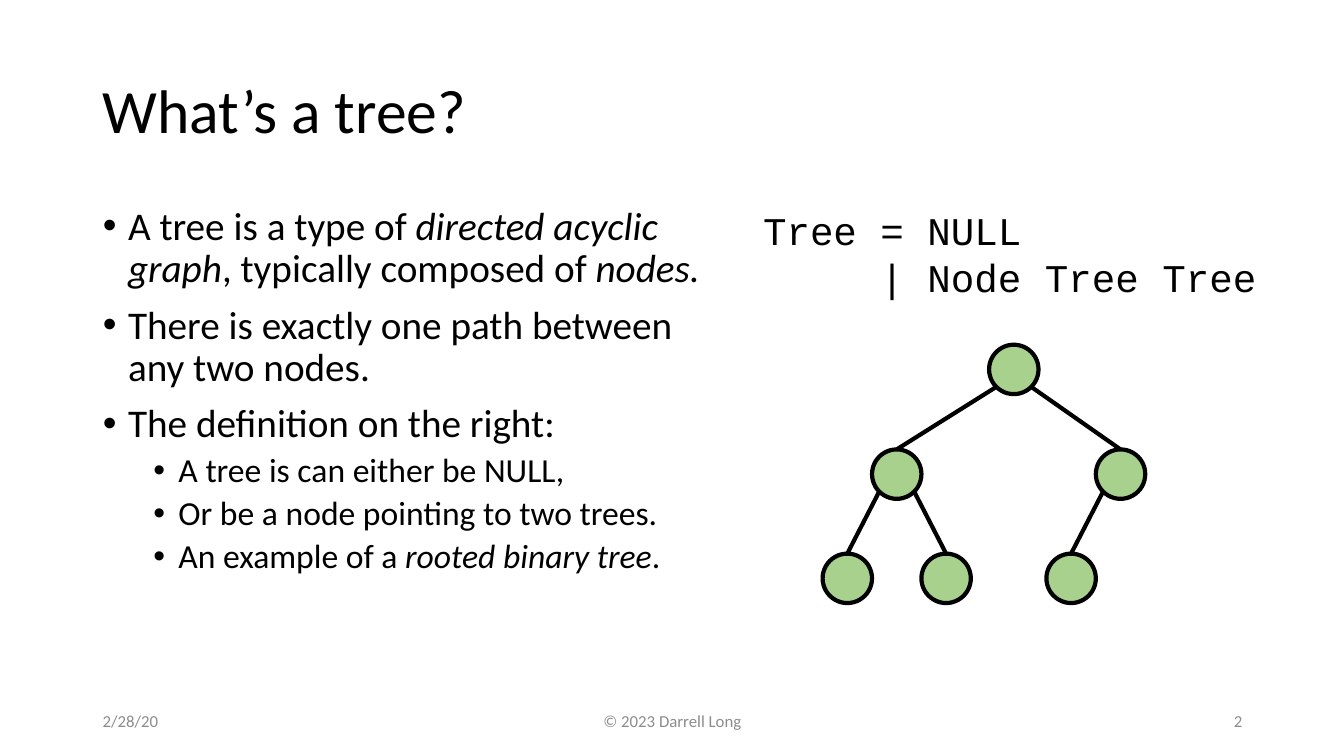
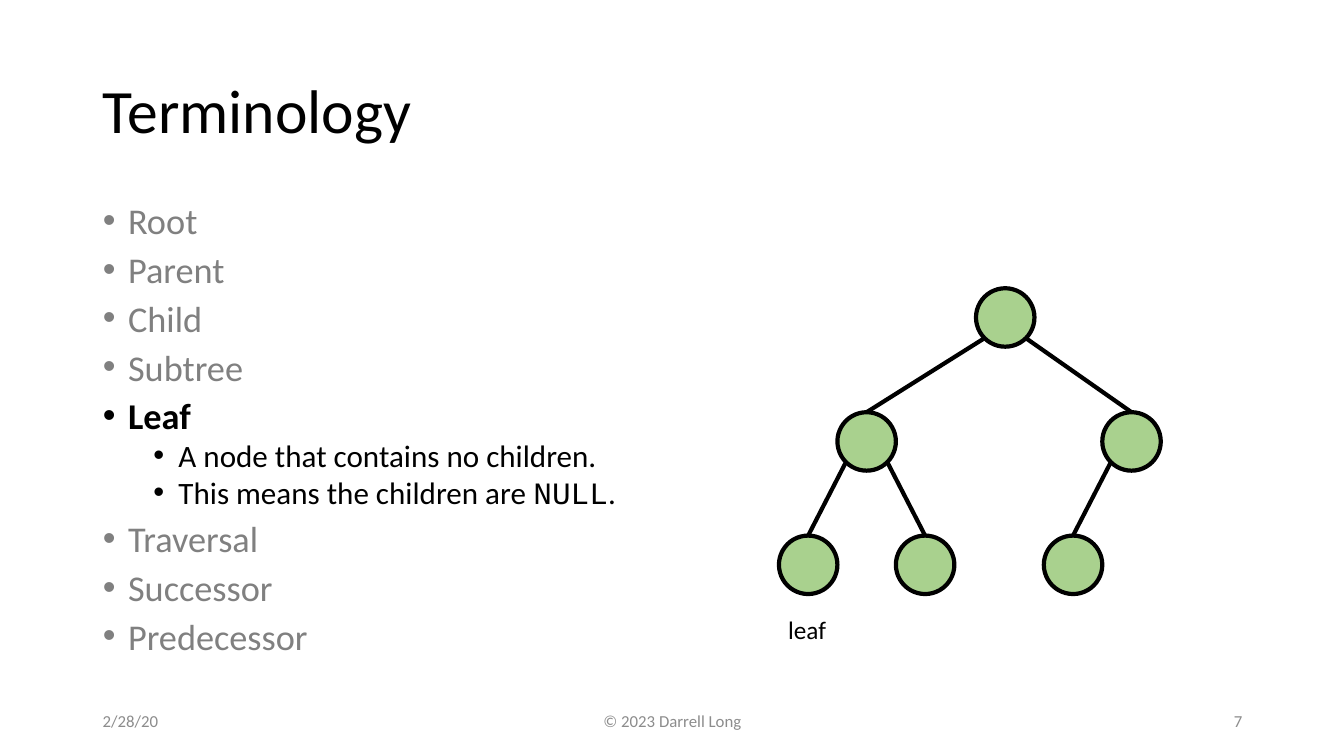
"""Build two lecture slides about binary trees."""
from dataclasses import dataclass
from math import sqrt

from lxml import etree
from pptx import Presentation
from pptx.dml.color import RGBColor
from pptx.enum.shapes import MSO_CONNECTOR, MSO_SHAPE
from pptx.enum.text import MSO_ANCHOR, MSO_AUTO_SIZE, PP_ALIGN
from pptx.oxml.ns import qn
from pptx.presentation import Presentation as Deck
from pptx.shapes.base import BaseShape
from pptx.slide import Slide, SlideLayout
from pptx.text.text import Font
from pptx.util import Emu, Pt

LEFT, CENTER, RIGHT = PP_ALIGN.LEFT, PP_ALIGN.CENTER, PP_ALIGN.RIGHT
TOP, MIDDLE = MSO_ANCHOR.TOP, MSO_ANCHOR.MIDDLE
NO_FIT = MSO_AUTO_SIZE.NONE
ELLIPSE, STRAIGHT = MSO_SHAPE.OVAL, MSO_CONNECTOR.STRAIGHT

EMU_PER_PX = 9144
COLORS = {"ink": "000000", "muted": "808080", "footer": "8C8C8C", "node": "A9D18E"}
SANS, MONO = "Calibri", "Courier New"


@dataclass(frozen=True)
class Area:
    """A rectangle in px."""
    left: int
    top: int
    width: int
    height: int


@dataclass(frozen=True)
class Span:
    """A stretch of text in one style."""
    text: str
    italic: bool = False
    mono: bool = False


@dataclass(frozen=True)
class Bullet:
    """A list entry."""
    spans: tuple[Span, ...]
    level: int = 0
    color: str = "ink"
    bold: bool = False


@dataclass(frozen=True)
class ListStyle:
    """Width, text sizes by level and line spacing of a list."""
    width: int
    sizes: tuple[float, float]
    line_spacing: float


@dataclass(frozen=True)
class TextStyle:
    """The look of a text box."""
    size: int
    font: str = SANS
    color: str = "ink"
    align: PP_ALIGN = LEFT
    anchor: MSO_ANCHOR = TOP


@dataclass(frozen=True)
class TreeNode:
    """A node placed relative to the root, in node diameters."""
    across: float
    down: float
    parent: int | None = None


TITLE_AREA = Area(92, 40, 1150, 145)
FOOTERS = (
    (Area(92, 695, 300, 40), LEFT),
    (Area(442, 695, 450, 40), CENTER),
    (Area(942, 695, 300, 40), RIGHT),
)
INDENTS = (25, 75)
SPACES_BEFORE = (10, 5)
TREE = (
    TreeNode(0, 0),
    TreeNode(-2.37, 2.12, 0),
    TreeNode(2.16, 2.12, 0),
    TreeNode(-3.37, 4.23, 1),
    TreeNode(-1.37, 4.23, 1),
    TreeNode(1.16, 4.23, 2),
)
DEFINITION_BULLETS = (
    Bullet((Span("A tree is a type of "), Span("directed acyclic graph", italic=True),
            Span(", typically composed of "), Span("nodes.", italic=True))),
    Bullet((Span("There is exactly one path between any two nodes."),)),
    Bullet((Span("The definition on the right:"),)),
    Bullet((Span("A tree is can either be NULL,"),), 1),
    Bullet((Span("Or be a node pointing to two trees."),), 1),
    Bullet((Span("An example of a "), Span("rooted binary tree", italic=True), Span(".")), 1),
)
LEAF_BULLETS = (
    Bullet((Span("Leaf"),), bold=True),
    Bullet((Span("A node that contains no children."),), 1),
    Bullet((Span("This means the children are "), Span("NULL", mono=True), Span(".")), 1),
)


def px(length: float) -> Emu:
    """Turn px into EMU."""
    return Emu(round(length * EMU_PER_PX))


def rgb(name: str) -> RGBColor:
    """Look up a colour by name."""
    return RGBColor.from_string(COLORS[name])


def place(shape: BaseShape, area: Area) -> None:
    """Move and size a shape."""
    shape.left, shape.top = px(area.left), px(area.top)
    shape.width, shape.height = px(area.width), px(area.height)


def style_font(font: Font, name: str, size: float, color: str) -> None:
    """Set the face, size and colour of a font."""
    font.name, font.size = name, Pt(size)
    font.color.rgb = rgb(color)


def add_text(slide: Slide, area: Area, lines: tuple[str, ...], style: TextStyle) -> None:
    """Add a text box with one paragraph for each line."""
    box = slide.shapes.add_textbox(
        px(area.left), px(area.top), px(area.width), px(area.height))
    frame = box.text_frame
    frame.word_wrap = True
    frame.vertical_anchor = style.anchor
    frame.text = "\n".join(lines)
    for para in frame.paragraphs:
        para.alignment = style.align
        style_font(para.font, style.font, style.size, style.color)


def add_page(deck: Deck, layout: SlideLayout, title: str, number: int) -> Slide:
    """Add a slide with its title and footer."""
    page = deck.slides.add_slide(layout)
    heading = page.shapes.title
    place(heading, TITLE_AREA)
    frame = heading.text_frame
    frame.text = title
    frame.auto_size = NO_FIT
    frame.vertical_anchor = MIDDLE
    para = frame.paragraphs[0]
    para.alignment, para.line_spacing = LEFT, 0.9
    style_font(para.font, SANS, 44, "ink")
    for (area, align), text in zip(FOOTERS, ("2/28/20", "© 2023 Darrell Long", str(number))):
        add_text(page, area, (text,), TextStyle(12, SANS, "footer", align, MIDDLE))
    return page


def fill_list(page: Slide, bullets: tuple[Bullet, ...], style: ListStyle) -> None:
    """Write the bullets into the body placeholder."""
    body = page.placeholders[1]
    place(body, Area(92, 200, style.width, 476))
    frame = body.text_frame
    frame.auto_size = NO_FIT
    for index, bullet in enumerate(bullets):
        para = frame.add_paragraph() if index else frame.paragraphs[0]
        para.level, para.line_spacing = bullet.level, style.line_spacing
        para.space_before = Pt(SPACES_BEFORE[bullet.level] if index else 0)
        properties = para._p.get_or_add_pPr()
        properties.set("marL", str(px(INDENTS[bullet.level])))
        properties.set("indent", str(px(-25)))
        etree.SubElement(properties, qn("a:buFont"), typeface="Arial")
        etree.SubElement(properties, qn("a:buChar"), char="•")
        style_font(para.font, SANS, style.sizes[bullet.level], bullet.color)
        para.font.bold = bullet.bold
        for span in bullet.spans:
            run = para.add_run()
            run.text = span.text
            if span.italic:
                run.font.italic = True
            if span.mono:
                run.font.name = MONO


def add_tree(page: Slide, left: int, top: int, diameter: int) -> None:
    """Draw the tree with its root's corner at the given point."""
    group = page.shapes.add_group_shape()
    centers = [(left + (node.across + 0.5) * diameter, top + (node.down + 0.5) * diameter)
               for node in TREE]
    radius = diameter / 2
    for x, y in centers:
        circle = group.shapes.add_shape(
            ELLIPSE, px(x - radius), px(y - radius), px(diameter), px(diameter))
        circle.shadow.inherit = False
        circle.fill.solid()
        circle.fill.fore_color.rgb = rgb("node")
        circle.line.color.rgb = rgb("ink")
        circle.line.width = Pt(3)
    diagonal = radius / sqrt(2)
    for node, (x, y) in zip(TREE, centers):
        if node.parent is None:
            continue
        parent_x, parent_y = centers[node.parent]
        side = diagonal if x > parent_x else -diagonal
        edge = group.shapes.add_connector(
            STRAIGHT, px(parent_x + side), px(parent_y + diagonal), px(x), px(y - radius))
        edge.line.color.rgb = rgb("ink")
        edge.line.width = Pt(3)
        etree.SubElement(edge._element.spPr, qn("a:effectLst"))


def muted_bullets(*terms: str) -> tuple[Bullet, ...]:
    """Make grey entries from terms."""
    return tuple(Bullet((Span(term),), color="muted") for term in terms)


def build_definition(deck: Deck, layout: SlideLayout) -> None:
    """Build the slide that defines a tree."""
    page = add_page(deck, layout, "What’s a tree?", 2)
    fill_list(page, DEFINITION_BULLETS, ListStyle(620, (28, 24), 0.9))
    add_text(page, Area(747, 200, 517, 104),
             ("Tree = NULL", "     | Node Tree Tree"), TextStyle(28, MONO))
    add_tree(page, 981, 342, 49)


def build_terminology(deck: Deck, layout: SlideLayout) -> None:
    """Build the slide that explains a leaf."""
    page = add_page(deck, layout, "Terminology", 7)
    bullets = (muted_bullets("Root", "Parent", "Child", "Subtree") + LEAF_BULLETS
               + muted_bullets("Traversal", "Successor", "Predecessor"))
    fill_list(page, bullets, ListStyle(562, (25.9, 22.2), 0.8))
    add_tree(page, 968, 286, 58)
    add_text(page, Area(741, 605, 119, 40), ("leaf",), TextStyle(18, align=CENTER))


def main() -> None:
    """Build and save the deck."""
    deck = Presentation()
    deck.slide_width, deck.slide_height = px(1333), px(750)
    layout = deck.slide_layouts[1]
    build_definition(deck, layout)
    build_terminology(deck, layout)
    deck.save("out.pptx")


if __name__ == "__main__":
    main()
